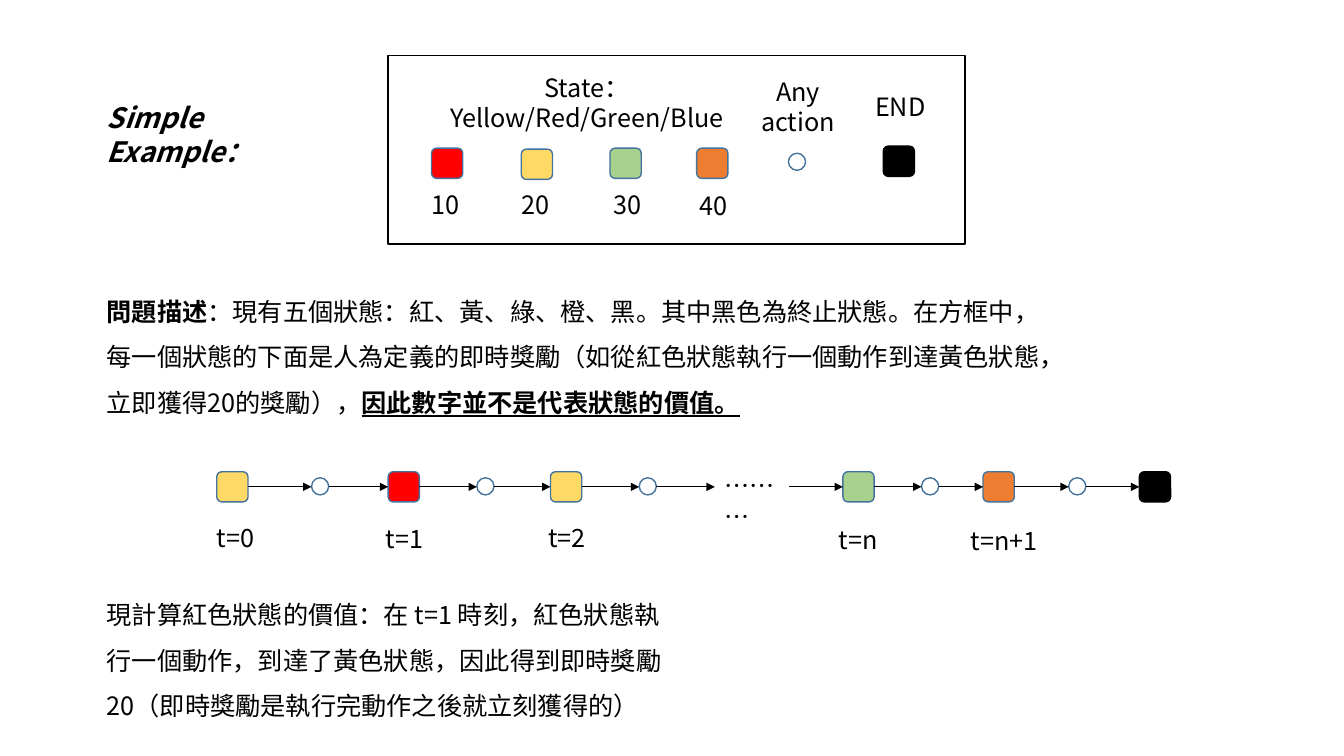
from itertools import pairwise

from lxml.etree import SubElement
from pptx import Presentation
from pptx.dml.color import RGBColor
from pptx.enum.shapes import MSO_CONNECTOR as CONN, MSO_SHAPE as SHAPE
from pptx.enum.text import MSO_AUTO_SIZE as AUTO, PP_ALIGN as ALIGN
from pptx.oxml.ns import qn
from pptx.util import Pt

PX = 9144  # EMU, 100 px to the inch
FONT = "Noto Sans CJK SC"
COLORS = {
    "red": "FF0000",
    "yellow": "FFD966",
    "green": "A9D18E",
    "orange": "ED7D31",
    "black": "000000",
    "white": "FFFFFF",
    "outline": "43739E",
}
STATE_W, STATE_H, ACTION_D = 31, 30, 17
AXIS_Y = 483

# Kind and left edge of each step in the chain
CHAIN = [
    ("yellow", 215), ("action", 309), ("red", 385), ("action", 473),
    ("yellow", 546), ("action", 634), ("gap", 709), ("green", 836),
    ("action", 914), ("orange", 975), ("action", 1060), ("black", 1130),
]
WIDTHS = {"action": ACTION_D, "gap": 74}

TIMES = [
    ("t=0", 205, 513, 81), ("t=1", 373, 514, 81), ("t=2", 534, 513, 81),
    ("t=n", 822, 515, 81), ("t=n+1", 953, 516, 112),
]
# Colour, left and top of the state, reward, left and top of its label
REWARDS = [
    ("red", 428, 147, "10", 418, 183), ("yellow", 517, 148, "20", 507, 183),
    ("green", 605, 147, "30", 599, 183), ("orange", 691, 147, "40", 684, 184),
]
PROBLEM = [
    ("問題描述", "b"),
    ("：現有五個狀態：紅、黃、綠、橙、黑。其中黑色為終止狀態。在方框中，"
     "每一個狀態的下面是人為定義的即時獎勵（如從紅色狀態執行一個動作到達黃色狀態，"
     "立即獲得20的獎勵），", ""),
    ("因此數字並不是代表狀態的價值。", "bu"),
]
ANSWER = ("現計算紅色狀態的價值：在 t=1 時刻，紅色狀態執行一個動作，到達了黃色狀態，"
          "因此得到即時獎勵 20（即時獎勵是執行完動作之後就立刻獲得的）")


def rgb(name):
    return RGBColor.from_string(COLORS[name])


def add_text(s, x, y, w, h, *paragraphs, size=18, align=None, spacing=None):
    """Each paragraph is a list of (text, style); style holds b, i and u."""
    tf = s.shapes.add_textbox(x * PX, y * PX, w * PX, h * PX).text_frame
    tf.word_wrap = True
    tf.auto_size = AUTO.SHAPE_TO_FIT_TEXT
    for n, runs in enumerate(paragraphs):
        p = tf.add_paragraph() if n else tf.paragraphs[0]
        p.alignment = align
        p.line_spacing = spacing
        p.font.size = Pt(size)
        p.font.name = FONT
        p.font.color.rgb = rgb("black")
        defaults = p._p.pPr.find(qn("a:defRPr"))
        SubElement(defaults, qn("a:ea")).set("typeface", FONT)
        for text, style in runs:
            r = p.add_run()
            r.text = text
            if "b" in style:
                r.font.bold = True
            if "i" in style:
                r.font.italic = True
            if "u" in style:
                r.font.underline = True


def add_label(s, x, y, w, h, *lines, align=None):
    add_text(s, x, y, w, h, *([(line, "")] for line in lines), align=align)


def add_box(s, kind, x, y, w, h, fill, line):
    sp = s.shapes.add_shape(kind, x * PX, y * PX, w * PX, h * PX)
    sp.shadow.inherit = False
    if fill:
        sp.fill.solid()
        sp.fill.fore_color.rgb = rgb(fill)
    else:
        sp.fill.background()
    sp.line.color.rgb = rgb(line)
    sp.line.width = Pt(1)


def add_state(s, color, x, y):
    line = "black" if color == "black" else "outline"
    add_box(s, SHAPE.ROUNDED_RECTANGLE, x, y, STATE_W, STATE_H, color, line)


def add_action(s, x, y):
    add_box(s, SHAPE.OVAL, x, y, ACTION_D, ACTION_D, "white", "outline")


def add_arrow(s, x1, x2, y):
    c = s.shapes.add_connector(CONN.STRAIGHT, x1 * PX, y * PX, x2 * PX, y * PX)
    c.line.color.rgb = rgb("black")
    c.line.width = Pt(0.5)
    SubElement(c.line._get_or_add_ln(), qn("a:tailEnd")).set("type", "triangle")
    SubElement(c._element.spPr, qn("a:effectLst"))


def add_legend(s):
    add_box(s, SHAPE.RECTANGLE, 385, 55, 572, 187, None, "black")
    add_label(s, 417, 67, 330, 71, "State：", "Yellow/Red/Green/Blue",
              align=ALIGN.CENTER)
    for color, x, y, reward, label_x, label_y in REWARDS:
        add_state(s, color, x, y)
        add_label(s, label_x, label_y, 60, 40, reward)
    add_label(s, 733, 71, 117, 71, "Any", "action", align=ALIGN.CENTER)
    add_action(s, 782, 152)
    add_label(s, 858, 86, 98, 40, "END")
    add_state(s, "black", 876, 145)


def add_chain(s):
    for kind, x in CHAIN:
        if kind == "action":
            add_action(s, x, AXIS_Y - ACTION_D // 2 - 1)
        elif kind == "gap":
            add_label(s, x, 462, WIDTHS[kind], 40, "………")
        else:
            add_state(s, kind, x, AXIS_Y - STATE_H // 2)
    for (kind, x), (_, next_x) in pairwise(CHAIN):
        add_arrow(s, x + WIDTHS.get(kind, STATE_W), next_x, AXIS_Y)
    for text, x, y, w in TIMES:
        add_label(s, x, y, w, 40, text)


def main():
    prs = Presentation()
    prs.slide_width, prs.slide_height = 1333 * PX, 750 * PX
    s = prs.slides.add_slide(prs.slide_layouts[6])
    add_text(s, 96, 95, 242, 44, [("Simple Example：", "bi")], size=20)
    add_legend(s)
    add_text(s, 96, 274, 969, 146, PROBLEM, spacing=1.5)
    add_chain(s)
    add_text(s, 96, 575, 588, 146, [(ANSWER, "")], spacing=1.5)
    prs.save("out.pptx")


if __name__ == "__main__":
    main()
